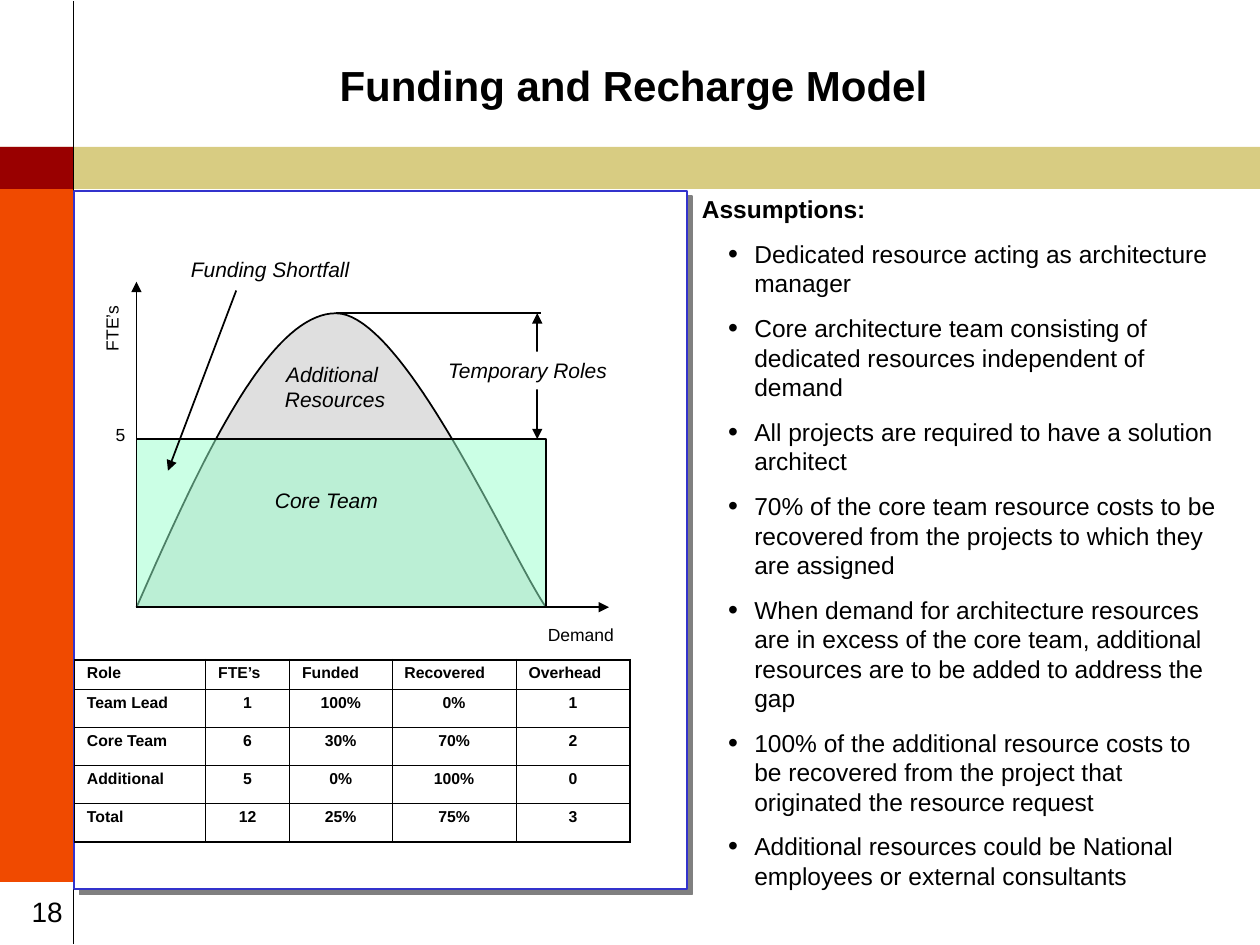
from pptx import Presentation
from pptx.dml.color import RGBColor
from pptx.enum.shapes import MSO_CONNECTOR as Conn, MSO_SHAPE as Kind
from pptx.enum.text import MSO_ANCHOR as Anchor, PP_ALIGN as Align
from pptx.oxml.ns import qn
from pptx.util import Pt
from lxml.etree import SubElement as Sub, Element

BLACK = "000000"
LEFT, RIGHT, BASE, CORE, PEAK = 78, 312, 347, 251, 179
FINE = 100
ROLES = [
    ["Role", "FTE’s", "Funded", "Recovered", "Overhead"],
    ["Team Lead", "1", "100%", "0%", "1"],
    ["Core Team", "6", "30%", "70%", "2"],
    ["Additional", "5", "0%", "100%", "0"],
    ["Total", "12", "25%", "75%", "3"],
]
POINTS = [
    "Dedicated resource acting as architecture manager",
    "Core architecture team consisting of dedicated resources independent of demand",
    "All projects are required to have a solution architect",
    "70% of the core team resource costs to be recovered from the projects to which they are assigned",
    "When demand for architecture resources are in excess of the core team, "
    "additional resources are to be added to address the gap",
    "100% of the additional resource costs to be recovered from the project that "
    "originated the resource request",
    "Additional resources could be National employees or external consultants",
]


def color(code):
    """Turn a hex string into a colour."""
    return RGBColor.from_string(code)


def write(para, text, size, bold=False, italic=False):
    """Add one formatted run to a paragraph."""
    run = para.add_run()
    run.text = text
    font = run.font
    font.name, font.size, font.bold, font.italic = "Arial", Pt(size), bold, italic
    font.color.rgb = color(BLACK)


def paint(shape, fill, line=None, alpha=None):
    """Set fill, outline and opacity, and drop the shadow."""
    shape.shadow.inherit = False
    shape.fill.solid()
    shape.fill.fore_color.rgb = color(fill)
    if alpha:
        tone = shape._element.spPr.find(qn("a:solidFill"))[0]
        Sub(tone, qn("a:alpha"), val=str(alpha * 1000))
    if line:
        shape.line.color.rgb = color(line)
        shape.line.width = Pt(1)
    else:
        shape.line.fill.background()


def rect(slide, box, fill, line=None, alpha=None):
    """Add a painted rectangle."""
    shape = slide.shapes.add_shape(Kind.RECTANGLE, *map(Pt, box))
    paint(shape, fill, line, alpha)
    return shape


def panel(slide, box):
    """Add the white panel with its hard grey shadow."""
    shape = rect(slide, box, "FFFFFF", "3333CC")
    effects = shape._element.spPr.find(qn("a:effectLst"))
    shade = Sub(effects, qn("a:outerShdw"), blurRad="0", dist=str(Pt(4.2)),
                dir="2700000", algn="ctr", rotWithShape="0")
    Sub(shade, qn("a:srgbClr"), val="808080")


def line(slide, start, end, head=False, tail=False):
    """Add a black line with optional arrowheads."""
    link = slide.shapes.add_connector(Conn.STRAIGHT, *map(Pt, (*start, *end)))
    link.line.color.rgb = color(BLACK)
    link.line.width = Pt(1)
    stroke = link.line._get_or_add_ln()
    for wanted, tag in ((head, "a:headEnd"), (tail, "a:tailEnd")):
        if wanted:
            Sub(stroke, qn(tag), type="triangle")
    Sub(link._element.spPr, qn("a:effectLst"))


def label(slide, box, lines, size, italic=False, align=Align.LEFT, turn=0):
    """Add a short unwrapped label, one paragraph a line."""
    shape = slide.shapes.add_textbox(*map(Pt, box))
    shape.rotation = turn
    frame = shape.text_frame
    frame.word_wrap = False
    for i, text in enumerate(lines):
        para = frame.add_paragraph() if i else frame.paragraphs[0]
        para.alignment = align
        write(para, text, size, italic=italic)


def bezier(a, b, c, d, steps=40):
    """List the points of a cubic curve after its start."""
    spots = []
    for i in range(1, steps + 1):
        t = i / steps
        u = 1 - t
        spots.append(tuple(
            FINE * (u**3 * p + 3 * u * u * t * q + 3 * u * t * t * r + t**3 * s)
            for p, q, r, s in zip(a, b, c, d)))
    return spots


def curve(slide):
    """Draw the demand hump."""
    start, top, end = (LEFT, BASE), (192, PEAK), (RIGHT, BASE)
    spots = bezier(start, (115, 263), (153.5, PEAK), top)
    spots += bezier(top, (231, PEAK), (292.5, 319), end)
    pen = slide.shapes.build_freeform(LEFT * FINE, BASE * FINE, scale=Pt(1) / FINE)
    pen.add_line_segments(spots, close=False)
    paint(pen.convert_to_shape(), "C0C0C0", BLACK, 50)


def border(cell, edges):
    """Set cell borders from pairs of side and width."""
    props = cell._tc.get_or_add_tcPr()
    for i, (side, width) in enumerate(edges):
        edge = Element(qn("a:ln" + side), w=str(Pt(width)))
        Sub(Sub(edge, qn("a:solidFill")), qn("a:srgbClr"), val=BLACK)
        props.insert(i, edge)


def table(slide):
    """Add the table of roles."""
    widths, heights = [75, 48, 58.5, 71, 65], [17] + [21.75] * 4
    rows, cols = len(heights), len(widths)
    grid = slide.shapes.add_table(rows, cols, Pt(42.5), Pt(377),
                                  Pt(sum(widths)), Pt(sum(heights))).table
    grid.first_row = grid.horz_banding = False
    for col, width in zip(grid.columns, widths):
        col.width = Pt(width)
    for r, texts in enumerate(ROLES):
        grid.rows[r].height = Pt(heights[r])
        for c, text in enumerate(texts):
            cell = grid.cell(r, c)
            cell.fill.background()
            para = cell.text_frame.paragraphs[0]
            para.line_spacing = 0.89
            para.alignment = Align.CENTER if r and c else Align.LEFT
            write(para, text, 9, bold=True)
            outer = {"L": c == 0, "R": c == cols - 1, "T": r == 0, "B": r == rows - 1}
            border(cell, [(side, 1.08 if out else 0.45) for side, out in outer.items()])


def bullet(para):
    """Give a paragraph a hanging black bullet."""
    props = para._p.get_or_add_pPr()
    props.set("marL", str(Pt(30)))
    props.set("indent", str(Pt(-15)))
    Sub(Sub(props, qn("a:buClr")), qn("a:srgbClr"), val=BLACK)
    Sub(props, qn("a:buSzPct"), val="115000")
    Sub(props, qn("a:buFont"), typeface="Arial")
    Sub(props, qn("a:buChar"), char="•")


def notes(slide):
    """Add the list of assumptions."""
    frame = slide.shapes.add_textbox(Pt(394), Pt(107.5), Pt(313), Pt(404.5)).text_frame
    frame.word_wrap = True
    write(frame.paragraphs[0], "Assumptions:", 14, bold=True)
    for text in POINTS:
        para = frame.add_paragraph()
        para.level = 1
        para.space_before = Pt(8.8)
        bullet(para)
        write(para, text, 14)


def title(slide):
    """Place and fill the title."""
    head = slide.shapes.title
    head.left, head.top, head.width, head.height = map(Pt, (56, 3.5, 612, 90))
    head.text_frame.vertical_anchor = Anchor.MIDDLE
    para = head.text_frame.paragraphs[0]
    para.alignment = Align.CENTER
    write(para, "Funding and Recharge Model", 24, bold=True)


def frame(slide):
    """Draw the coloured bands, side rule and page number."""
    rect(slide, (0, 84, 720, 24), "D8CC82")
    rect(slide, (0, 108, 42, 396), "F04A00")
    rect(slide, (0, 84, 42, 24), "990000")
    line(slide, (42, 0.5), (42, 539.5))
    label(slide, (6, 507.5, 42, 29), ["18"], 16, align=Align.CENTER)


def chart(slide):
    """Draw the demand diagram with its labels."""
    curve(slide)
    rect(slide, (LEFT, CORE, RIGHT - LEFT, BASE - CORE), "99FFCC", BLACK, 50)
    line(slide, (LEFT, 161), (LEFT, BASE), head=True)
    line(slide, (LEFT, BASE), (348, BASE), tail=True)
    line(slide, (135, 166), (96, 269), tail=True)
    line(slide, (192, PEAK), (309, PEAK))
    line(slide, (307, PEAK), (307, CORE), head=True, tail=True)
    label(slide, (306, 353, 52, 19.5), ["Demand"], 10)
    label(slide, (44, 178, 40, 19.5), ["FTE’s"], 10, turn=270)
    label(slide, (59, 239, 19.5, 19.5), ["5"], 10)
    label(slide, (150, 275, 74, 21.5), ["Core Team"], 12, True)
    label(slide, (146.5, 203, 90, 36), ["Additional ", "Resources"], 12, True, Align.CENTER)
    label(slide, (102, 143, 114, 21.5), ["Funding Shortfall"], 12, True)
    box = (249, 201, 114, 21.5)
    rect(slide, box, "FFFFFF")
    label(slide, box, ["Temporary Roles"], 12, True)


def main():
    """Build and save the slide."""
    deck = Presentation()
    deck.slide_width, deck.slide_height = Pt(720), Pt(540)
    slide = deck.slides.add_slide(deck.slide_layouts[5])
    frame(slide)
    panel(slide, (42.5, 109.25, 350, 399))
    title(slide)
    chart(slide)
    table(slide)
    notes(slide)
    deck.save("out.pptx")


if __name__ == "__main__":
    main()
